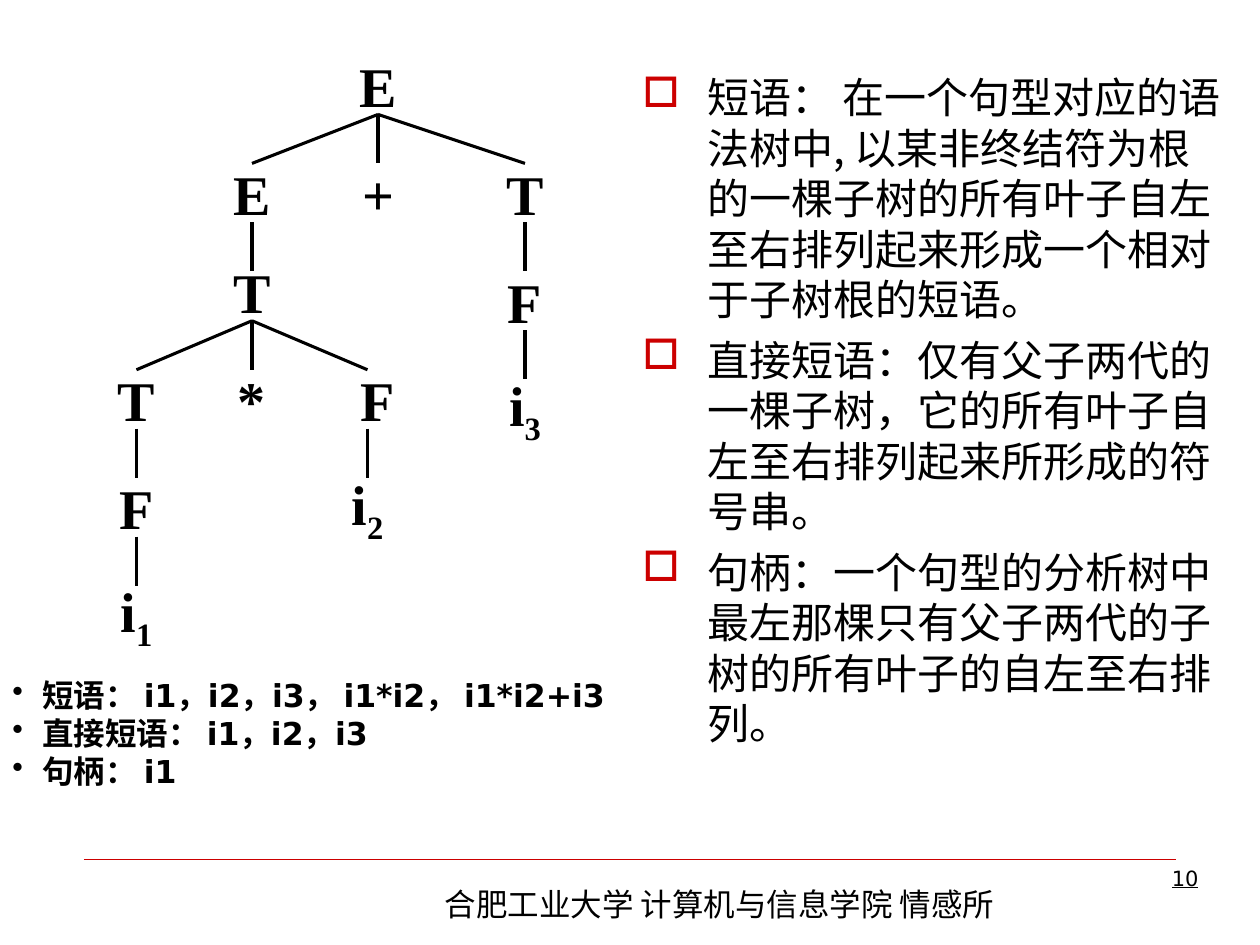
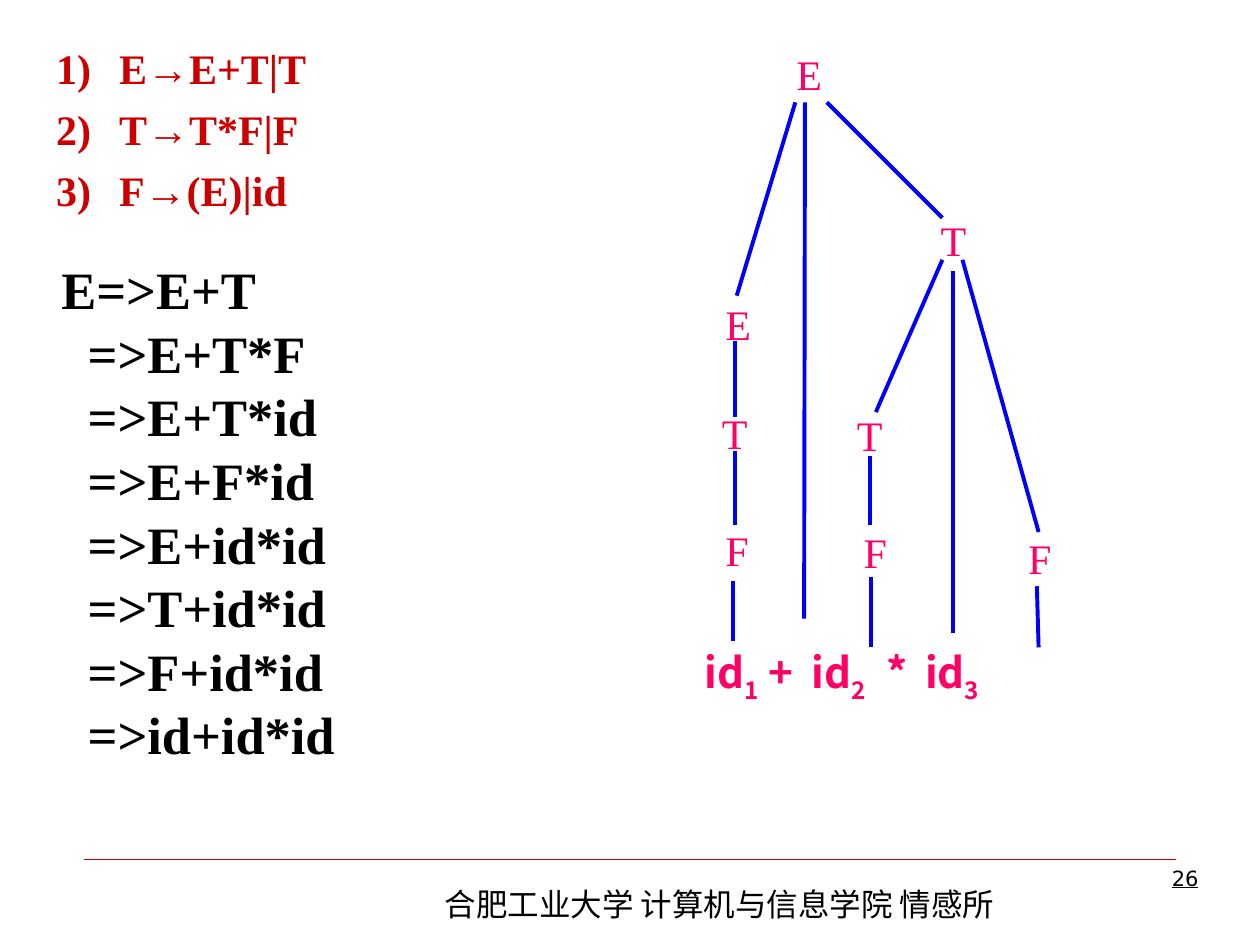
from itertools import groupby

from lxml import etree
from pptx import Presentation
from pptx.dml.color import RGBColor
from pptx.enum.shapes import MSO_CONNECTOR
from pptx.enum.text import MSO_ANCHOR, PP_ALIGN
from pptx.oxml.ns import qn
from pptx.util import Pt

STRAIGHT = MSO_CONNECTOR.STRAIGHT
MIDDLE = MSO_ANCHOR.MIDDLE
CENTER, RIGHT = PP_ALIGN.CENTER, PP_ALIGN.RIGHT

BLACK, WHITE, RED, PINK, BLUE = "000000", "FFFFFF", "CC0000", "FF0066", "0000FF"
SERIF, CJK, SANS = "Times New Roman", "Noto Sans CJK SC", "DejaVu Sans"

NODE_WIDTH, NODE_HEIGHT, LEVEL_STEP = 48, 33.7, 61.7

DEFINITIONS = [
    "短语： 在一个句型对应的语法树中, 以某非终结符为根的一棵子树的所有叶子自左至右排列起来形成一个相对于子树根的短语。",
    "直接短语：仅有父子两代的一棵子树，它的所有叶子自左至右排列起来所形成的符号串。",
    "句柄：一个句型的分析树中最左那棵只有父子两代的子树的所有叶子的自左至右排列。",
]
ANSWERS = ["短语： i1，i2，i3， i1*i2， i1*i2+i3", "直接短语： i1，i2，i3", "句柄： i1"]
GRAMMAR = ["E→E+T|T", "T→T*F|F", "F→(E)|id"]
DERIVATION = ["E=>E+T", "=>E+T*F", "=>E+T*id", "=>E+F*id", "=>E+id*id",
              "=>T+id*id", "=>F+id*id", "=>id+id*id"]

PARSE_TREE = {
    "symbol": "E", "x": 216, "children": [
        {"symbol": "E", "x": 144, "children": [
            {"symbol": "T", "x": 144, "lift": 5.5, "children": [
                {"symbol": "T", "x": 78, "children": [
                    {"symbol": "F", "x": 78, "children": [{"symbol": "i1", "x": 78}]}]},
                {"symbol": "*", "x": 144},
                {"symbol": "F", "x": 210, "shift": 6,
                 "children": [{"symbol": "i2", "x": 210}]}]}]},
        {"symbol": "+", "x": 216},
        {"symbol": "T", "x": 300, "children": [
            {"symbol": "F", "x": 300, "children": [{"symbol": "i3", "x": 300}]}]},
    ],
}

DERIVATION_NODES = [
    ("E", 448, 24), ("T", 530.5, 119), ("E", 407.5, 167), ("T", 405.5, 229.5),
    ("F", 407.5, 296), ("T", 482.5, 230.5), ("F", 486.5, 297.5), ("F", 580.5, 301),
]
DERIVATION_EDGES = [
    (454.5, 58.5, 421, 169), (460, 58.5, 459.5, 353.5), (472.5, 58.5, 538.5, 124.5),
    (538.5, 148.5, 500.5, 235.5), (544.5, 155, 544.5, 361.5), (550, 148.5, 593.5, 304),
    (420, 195, 420, 238.5), (420, 258, 420, 300), (419, 332, 419, 366.5),
    (497, 260.5, 497, 300), (497.5, 330, 497.5, 369.5), (592.5, 335, 593.5, 370),
]


def rgb(value):
    """Turn a hex string into a colour."""
    return RGBColor.from_string(value)


def add_line(slide, start_x, start_y, end_x, end_y, color, weight):
    """Draw a straight line without a shadow."""
    line = slide.shapes.add_connector(
        STRAIGHT, Pt(start_x), Pt(start_y), Pt(end_x), Pt(end_y))
    line.line.color.rgb = rgb(color)
    line.line.width = Pt(weight)
    etree.SubElement(line._element.spPr, qn("a:effectLst"))


def add_marker(paragraph, tag, color, hanging, **attributes):
    """Give a paragraph a coloured bullet or number with a hanging indent."""
    properties = paragraph._p.get_or_add_pPr()
    properties.set("marL", str(Pt(hanging)))
    properties.set("indent", str(-Pt(hanging)))
    bullet_color = etree.SubElement(properties, qn("a:buClr"))
    etree.SubElement(bullet_color, qn("a:srgbClr"), val=color)
    etree.SubElement(properties, qn(tag), **attributes)


def add_tab_stops(paragraph, stops):
    """Set left-aligned tab stops."""
    tab_list = etree.SubElement(paragraph._p.get_or_add_pPr(), qn("a:tabLst"))
    for stop in stops:
        etree.SubElement(tab_list, qn("a:tab"), pos=str(Pt(stop)), algn="l")


def format_font(paragraph, name, size, color, bold=False):
    """Set the font of a paragraph for Latin and Chinese text."""
    font = paragraph.font
    font.name, font.size, font.bold = name, Pt(size), bold
    font.color.rgb = rgb(color)
    etree.SubElement(
        paragraph._p.pPr.find(qn("a:defRPr")), qn("a:ea"), typeface=CJK)


def add_text(slide, box, lines, font, gap=0, marker=None, align=None):
    """Add a wrapped text box with one paragraph per line."""
    text_box = slide.shapes.add_textbox(*map(Pt, box))
    frame = text_box.text_frame
    frame.word_wrap = True
    for index, line in enumerate(lines):
        paragraph = frame.paragraphs[0] if index == 0 else frame.add_paragraph()
        paragraph.text = line
        if index and gap:
            paragraph.space_before = Pt(gap)
        if align:
            paragraph.alignment = align
        if marker:
            add_marker(paragraph, **marker)
        format_font(paragraph, *font)
    return text_box


def add_indexed_text(slide, box, text, font, align=None, stops=()):
    """Add one line of text whose digits are subscripts."""
    frame = add_text(slide, box, [""], font, align=align).text_frame
    paragraph = frame.paragraphs[0]
    paragraph.clear()
    for is_index, letters in groupby(text, str.isdigit):
        run = paragraph.add_run()
        run.text = "".join(letters)
        if is_index:
            run._r.get_or_add_rPr().set("baseline", "-25000")
    if stops:
        add_tab_stops(paragraph, stops)
        properties = paragraph._p.pPr
        properties.append(properties.find(qn("a:defRPr")))
    return frame


def add_tree(slide, node, top):
    """Draw a node, its branches and its subtrees."""
    top -= node.get("lift", 0)
    left = node["x"] + node.get("shift", 0) - NODE_WIDTH / 2
    frame = add_indexed_text(slide, (left, top, NODE_WIDTH, NODE_HEIGHT),
                             node["symbol"], (SERIF, 32, BLACK, True), CENTER)
    frame.vertical_anchor = MIDDLE
    for child in node.get("children", []):
        add_line(slide, node["x"], top + NODE_HEIGHT,
                 child["x"], top + LEVEL_STEP, BLACK, 1.75)
        add_tree(slide, child, top + LEVEL_STEP)


def add_page(deck, number):
    """Add a slide with the shared rule, institute and page number."""
    slide = deck.slides.add_slide(deck.slide_layouts[6])
    slide.background.fill.solid()
    slide.background.fill.fore_color.rgb = rgb(WHITE)
    add_line(slide, 48, 491, 672, 491, RED, 0.25)
    add_text(slide, (247, 502, 345.5, 29), ["合肥工业大学 计算机与信息学院 情感所"],
             (CJK, 18, BLACK))
    page = add_text(slide, (535.5, 491, 156.5, 37.5), [number],
                    (SANS, 12, BLACK), align=RIGHT)
    page.text_frame.paragraphs[0].font.underline = True
    return slide


def build_phrases(deck):
    """Show the parse tree, the definitions and the answers."""
    slide = add_page(deck, "10")
    add_text(slide, (360, 37.5, 347, 397.5), DEFINITIONS, (CJK, 24, BLACK), 6,
             dict(tag="a:buChar", color=RED, hanging=37, char="□"))
    add_tree(slide, PARSE_TREE, 31.7)
    add_text(slide, (0, 383, 375, 72), ANSWERS, (SANS, 18, BLACK, True),
             marker=dict(tag="a:buChar", color=BLACK, hanging=17, char="•"))


def build_derivation(deck):
    """Show the grammar, a rightmost derivation and its tree."""
    slide = add_page(deck, "26")
    for edge in DERIVATION_EDGES:
        add_line(slide, *edge, BLUE, 2.25)
    grammar = add_text(
        slide, (25, 21, 160, 106), GRAMMAR, (SERIF, 24, RED, True), 6,
        dict(tag="a:buAutoNum", color=RED, hanging=36, type="arabicParenR"))
    grammar.fill.solid()
    grammar.fill.fore_color.rgb = rgb(WHITE)
    for symbol, left, top in DERIVATION_NODES:
        add_text(slide, (left, top, 25, 36), [symbol], (SERIF, 24, PINK))
    add_indexed_text(slide, (395.5, 366, 275, 40), "id1 +\tid2\t*\tid3",
                     (CJK, 24, PINK, True), stops=(61, 104, 126))
    steps = add_text(slide, (28, 150.5, 215, 324), DERIVATION,
                     (SERIF, 30, BLACK, True), 7.5)
    for index, step in enumerate(steps.text_frame.paragraphs):
        step.line_spacing = 0.8
        if index:
            step._p.pPr.set("marL", str(Pt(15)))


def main():
    """Build and save the deck."""
    deck = Presentation()
    deck.slide_width, deck.slide_height = Pt(720), Pt(540)
    build_phrases(deck)
    build_derivation(deck)
    deck.save("out.pptx")


if __name__ == "__main__":
    main()
